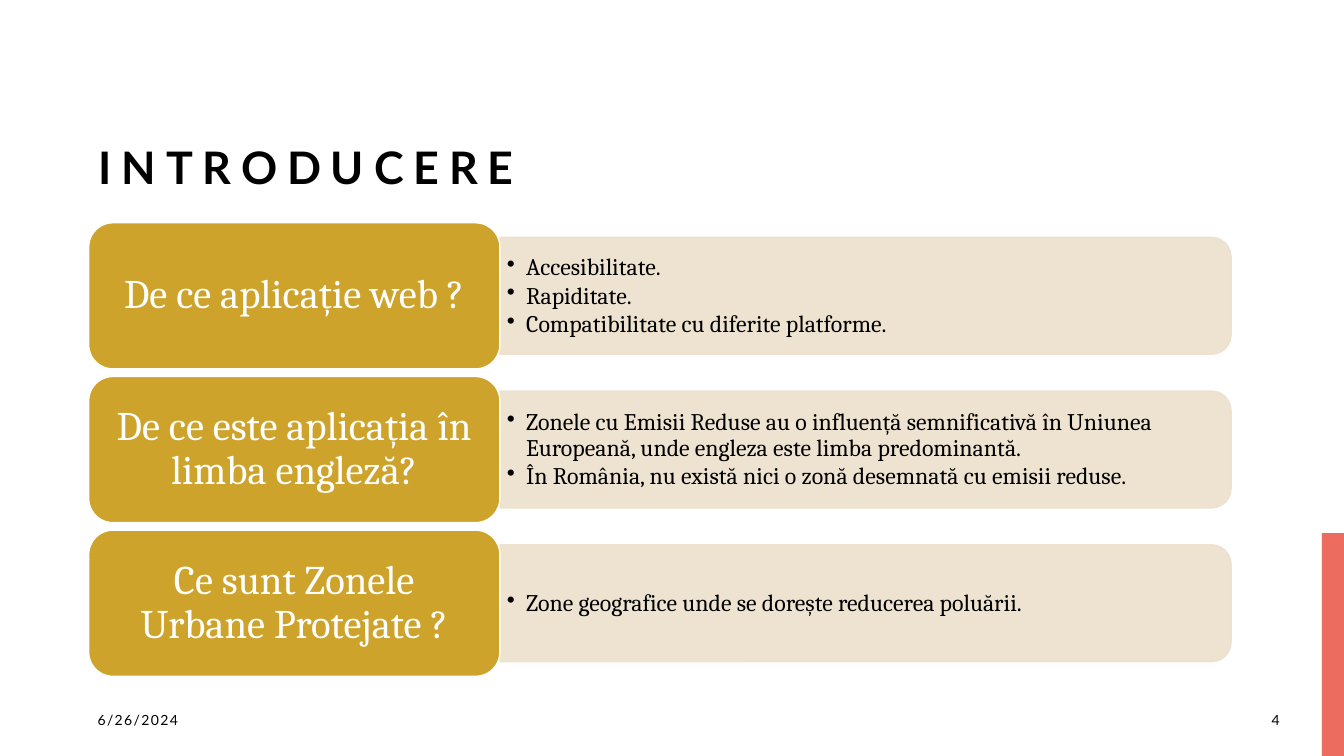
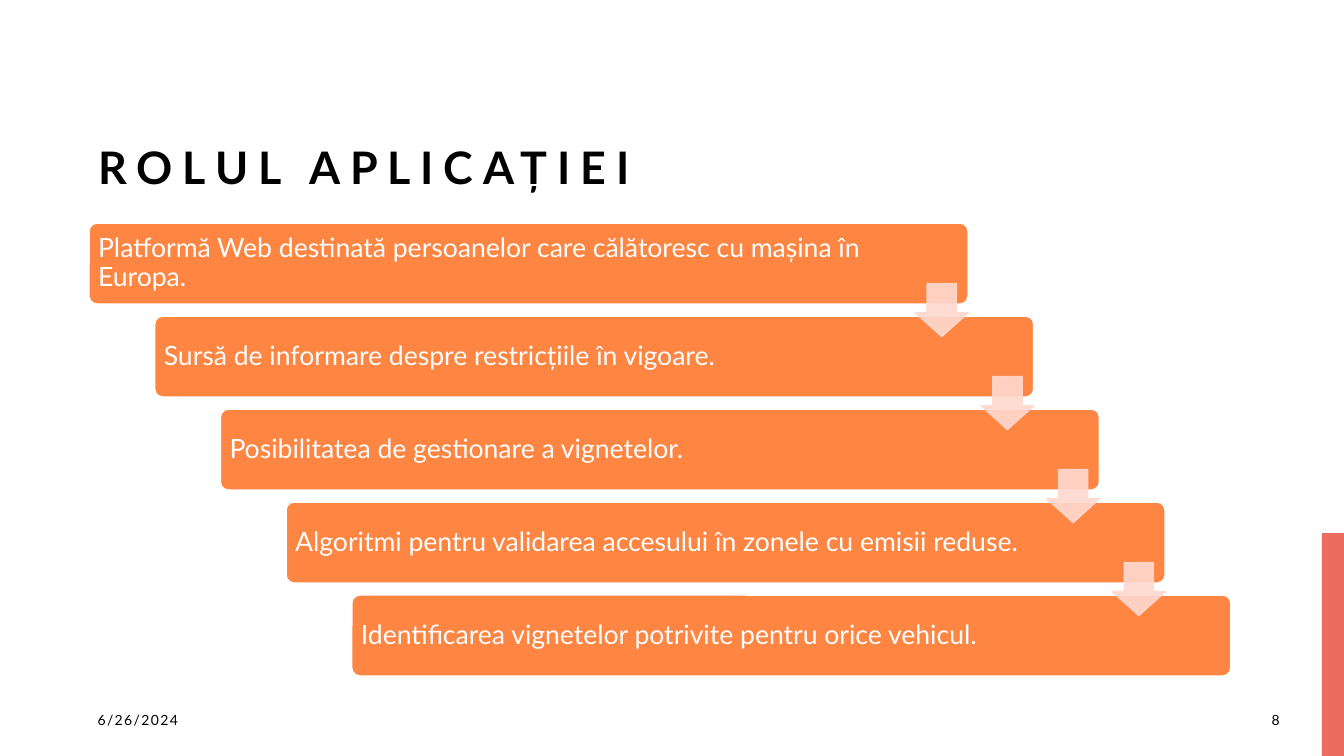
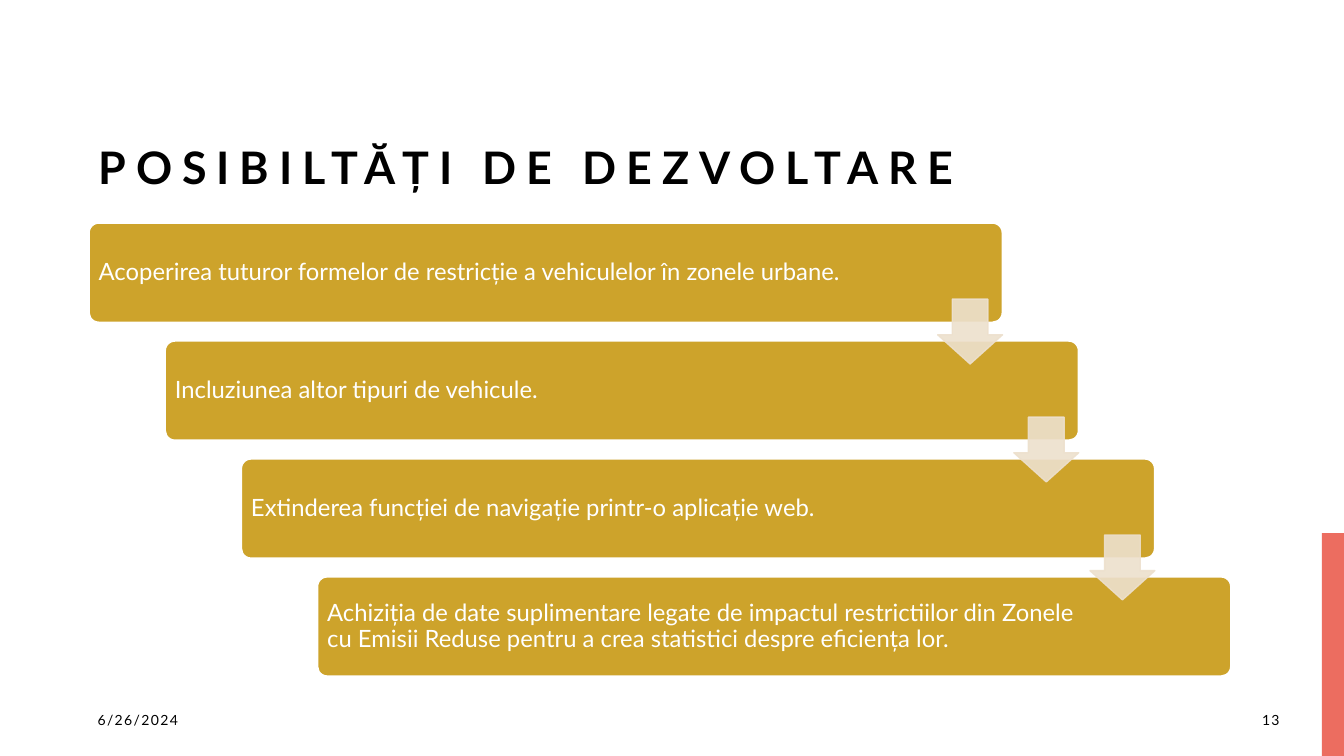
"""Build three slides: question cards and two descending staircases."""
from lxml.etree import SubElement
from pptx import Presentation
from pptx.dml.color import RGBColor
from pptx.enum.shapes import MSO_SHAPE as Shape
from pptx.enum.text import MSO_ANCHOR as Anchor, MSO_AUTO_SIZE as AutoSize, PP_ALIGN as Align
from pptx.oxml.ns import qn
from pptx.util import Inches, Pt

COLOURS = {
    "white": "FFFFFF",
    "black": "000000",
    "coral": "EC6D60",
    "gold": "CDA32B",
    "sand": "EDE0CD",
    "orange": "FE8542",
    "peach": "FFD9CF",
}
SANS, SERIF = "Lato", "Cambria"
WIDTH, HEIGHT = 13.33, 7.5
LEFT, TOP, BODY_WIDTH, BODY_HEIGHT = 0.88, 2.21, 11.33, 4.5
DATE = "6/26/2024"

QUESTIONS = [
    ("De ce aplicație web ?",
     ["Accesibilitate.", "Rapiditate.", "Compatibilitate cu diferite platforme."]),
    ("De ce este aplicația în limba engleză?",
     ["Zonele cu Emisii Reduse au o influență semnificativă în Uniunea Europeană, "
      "unde engleza este limba predominantă.",
      "În România, nu există nici o zonă desemnată cu emisii reduse."]),
    ("Ce sunt Zonele Urbane Protejate ?",
     ["Zone geografice unde se dorește reducerea poluării."]),
]
ROLES = [
    "Platformă Web destinată persoanelor care călătoresc cu mașina în Europa.",
    "Sursă de informare despre restricțiile în vigoare.",
    "Posibilitatea de gestionare a vignetelor.",
    "Algoritmi pentru validarea accesului în zonele cu emisii reduse.",
    "Identificarea vignetelor potrivite pentru orice vehicul.",
]
PLANS = [
    "Acoperirea tuturor formelor de restricție a vehiculelor în zonele urbane.",
    "Incluziunea altor tipuri de vehicule.",
    "Extinderea funcției de navigație printr-o aplicație web.",
    "Achiziția de date suplimentare legate de impactul restrictiilor "
    "din Zonele cu Emisii Reduse pentru a crea statistici despre eficiența lor.",
]


def colour(name):
    """Return the named colour."""
    return RGBColor.from_string(COLOURS[name])


def add_block(page, kind, area, fill, line=None, line_width=1, opacity=None):
    """Add a flat preset shape, optionally outlined and translucent."""
    block = page.shapes.add_shape(kind, *map(Inches, area))
    block.shadow.inherit = False
    block.fill.solid()
    block.fill.fore_color.rgb = colour(fill)
    if line:
        block.line.color.rgb = colour(line)
        block.line.width = Pt(line_width)
    else:
        block.line.fill.background()
    if opacity:
        for tone in block._element.spPr.iter(qn("a:srgbClr")):
            SubElement(tone, qn("a:alpha"), val=str(opacity * 1000))
    return block


def add_text_box(page, area):
    """Add an empty text box."""
    return page.shapes.add_textbox(*map(Inches, area))


def set_frame(box, insets=(0.1, 0.05, 0.1, 0.05), anchor=Anchor.MIDDLE):
    """Set wrapping, anchor and insets, and return the text frame."""
    frame = box.text_frame
    frame.word_wrap = True
    frame.auto_size = AutoSize.NONE
    frame.vertical_anchor = anchor
    frame.margin_left, frame.margin_top, frame.margin_right, frame.margin_bottom = map(Inches, insets)
    return frame


def add_span(para, text, size, face, tone, spacing=0, bold=False):
    """Add one formatted run to a paragraph."""
    span = para.add_run()
    span.text = text
    span.font.size = Pt(size)
    span.font.name = face
    span.font.bold = bold
    span.font.color.rgb = colour(tone)
    if spacing:
        span._r.get_or_add_rPr().set("spc", str(spacing * 100))


def write(frame, text, size, face, tone, align=Align.LEFT, leading=0.9, **style):
    """Write the first paragraph of a frame."""
    para = frame.paragraphs[0]
    para.alignment = align
    para.line_spacing = leading
    add_span(para, text, size, face, tone, **style)


def write_bullets(frame, items):
    """Write a bulleted list into an empty frame."""
    for index, item in enumerate(items):
        para = frame.add_paragraph() if index else frame.paragraphs[0]
        properties = para._p.get_or_add_pPr()
        properties.set("marL", str(Inches(0.19)))
        properties.set("indent", str(Inches(-0.19)))
        SubElement(properties, qn("a:buChar"), char="•")
        para.alignment = Align.LEFT
        para.line_spacing = 0.9
        para.space_after = Pt(2)
        add_span(para, item, 17, SERIF, "black")


def add_page(deck, title, number):
    """Add a page with its title, accent band, date and number."""
    page = deck.slides.add_slide(deck.slide_layouts[5])
    add_block(page, Shape.RECTANGLE, (13.11, 5.29, 0.23, 2.21), "coral")
    heading = page.shapes.title
    heading.left, heading.top, heading.width, heading.height = map(Inches, (LEFT, 0.4, BODY_WIDTH, 1.57))
    write(set_frame(heading, anchor=Anchor.BOTTOM), title, 32, SANS, "black",
          leading=1.2, spacing=7, bold=True)
    for text, left, width, align in ((DATE, 0.87, 3, Align.LEFT),
                                     (number, 12.21, 0.58, Align.RIGHT)):
        footer = add_text_box(page, (left, 6.94, width, 0.4))
        write(set_frame(footer), text, 10, SANS, "black", align, leading=1, spacing=1)
    return page


def add_questions(page, questions):
    """Add one card per question with its answers on a panel beside it."""
    card_width, card_height = BODY_WIDTH * 0.36, 1.45
    pitch = (BODY_HEIGHT - card_height) / (len(questions) - 1)
    panel_left, panel_width = LEFT + card_width, BODY_WIDTH - card_width
    panel_height = card_height * 0.8
    for row, (question, answers) in enumerate(questions):
        top = TOP + row * pitch
        middle = top + card_height / 2
        panel = add_block(page, Shape.ROUND_2_SAME_RECTANGLE,
                          (panel_left + (panel_width - panel_height) / 2, middle - panel_width / 2,
                           panel_height, panel_width), "sand", "sand", opacity=90)
        panel.rotation = 90
        answer_box = add_text_box(page, (panel_left, middle - 0.52, panel_width - 0.06, 1.05))
        write_bullets(set_frame(answer_box, (0.07, 0.04, 0.07, 0.04)), answers)
        card = add_block(page, Shape.ROUNDED_RECTANGLE, (LEFT, top, card_width, card_height),
                         "gold", "white")
        write(set_frame(card, (0.12, 0.06, 0.12, 0.06)), question, 29, SERIF, "white", Align.CENTER)


def add_staircase(page, steps, width_share, height_share, size, fill, arrow_fill):
    """Add descending steps joined by translucent arrows."""
    width, height = BODY_WIDTH * width_share, BODY_HEIGHT * height_share
    shift = (BODY_WIDTH - width) / (len(steps) - 1)
    drop = (BODY_HEIGHT - height) / (len(steps) - 1)
    for index, text in enumerate(steps):
        step = add_block(page, Shape.ROUNDED_RECTANGLE,
                         (LEFT + index * shift, TOP + index * drop, width, height),
                         fill, "white", 1.5)
        step.adjustments[0] = 0.1
        right_inset = width * (0.16 if index else 0.11)
        write(set_frame(step, (0.07, 0.07, right_inset, 0.07)), text, size, SANS, "white")
    side = height * 0.65
    for index in range(len(steps) - 1):
        gap_middle = TOP + index * drop + (height + drop) / 2
        arrow = add_block(page, Shape.DOWN_ARROW,
                          (LEFT + index * shift + width - side, gap_middle - side / 2, side, side),
                          arrow_fill, arrow_fill, opacity=90)
        arrow.adjustments[0], arrow.adjustments[1] = 0.55, 0.45


def main():
    """Build and save the deck."""
    deck = Presentation()
    deck.slide_width, deck.slide_height = Inches(WIDTH), Inches(HEIGHT)
    add_questions(add_page(deck, "INTRODUCERE", "4"), QUESTIONS)
    add_staircase(add_page(deck, "ROLUL APLICAȚIEI", "8"), ROLES, 0.77, 0.18, 19, "orange", "peach")
    add_staircase(add_page(deck, "POSIBILTĂȚI DE DEZVOLTARE", "13"), PLANS, 0.8, 0.22, 17, "gold", "sand")
    deck.save("out.pptx")


if __name__ == "__main__":
    main()
